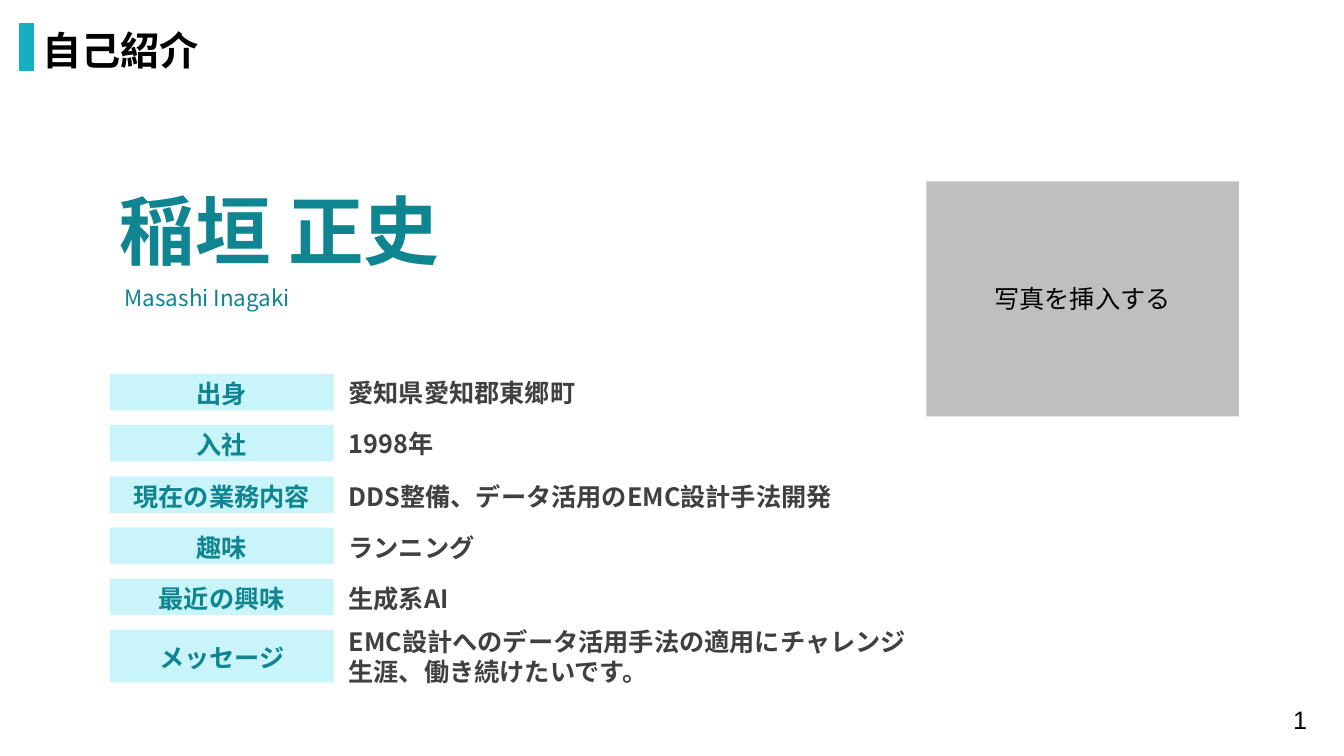
from dataclasses import dataclass

from lxml import etree
from pptx import Presentation
from pptx import util as u
from pptx.dml.color import RGBColor
from pptx.enum import shapes, text
from pptx.oxml.ns import qn

COLOURS = {
    "teal": "0E8590",
    "accent": "13B1C0",
    "pale": "C9F5FA",
    "grey": "BFBFBF",
    "dark": "404040",
    "black": "000000",
}
CJK_FONT = "Noto Sans CJK JP"
LABEL_LEFT, LABEL_WIDTH = 78.5, 159.8
VALUE_LEFT, VALUE_WIDTH = 241.9, 434.9
FIRST_ROW_TOP, ROW_PITCH = 267.1, 36.6


@dataclass(frozen=True)
class Area:
    left: float
    top: float
    width: float
    height: float

    def lengths(self) -> tuple:
        return u.Pt(self.left), u.Pt(self.top), u.Pt(self.width), u.Pt(self.height)


@dataclass(frozen=True)
class Style:
    size: float
    colour: str
    bold: bool = False
    font: str = CJK_FONT
    centred: bool = False
    spaced: bool = False


@dataclass(frozen=True)
class ProfileRow:
    label: str
    value: str
    spaced: bool = False
    label_height: float = 26
    value_height: float = 26


PROFILE = [
    ProfileRow("出身", "愛知県愛知郡東郷町"),
    ProfileRow("入社", "1998年"),
    ProfileRow("現在の業務内容", "DDS整備、データ活用のEMC設計手法開発", spaced=True),
    ProfileRow("趣味", "ランニング", spaced=True),
    ProfileRow("最近の興味", "生成系AI", spaced=True),
    ProfileRow(
        "メッセージ",
        "EMC設計へのデータ活用手法の適用にチャレンジ\n生涯、働き続けたいです。",
        label_height=37.4,
        value_height=49.7,
    ),
]


def rgb(colour: str) -> RGBColor:
    return RGBColor.from_string(COLOURS[colour])


def write(box, content: str, style: Style) -> None:
    frame = box.text_frame
    frame.text = content
    frame.vertical_anchor = text.MSO_ANCHOR.MIDDLE
    for para in frame.paragraphs:
        para.alignment = text.PP_ALIGN.CENTER if style.centred else text.PP_ALIGN.LEFT
        if style.spaced:
            para.line_spacing = 1.1
            para.space_before = u.Pt(3)
        for span in para.runs:
            span.font.size = u.Pt(style.size)
            span.font.bold = style.bold
            span.font.color.rgb = rgb(style.colour)
            span.font.name = style.font
            east_asian = etree.SubElement(span.font._element, qn("a:ea"))
            east_asian.set("typeface", CJK_FONT)


def add_text(page, area: Area, content: str, style: Style, grow: bool = False):
    box = page.shapes.add_textbox(*area.lengths())
    box.text_frame.word_wrap = False
    sizing = text.MSO_AUTO_SIZE
    box.text_frame.auto_size = sizing.SHAPE_TO_FIT_TEXT if grow else sizing.NONE
    write(box, content, style)
    return box


def add_block(page, area: Area, colour: str):
    block = page.shapes.add_shape(shapes.MSO_SHAPE.RECTANGLE, *area.lengths())
    block.shadow.inherit = False
    block.fill.solid()
    block.fill.fore_color.rgb = rgb(colour)
    block.line.fill.background()
    return block


def set_header_insets(box) -> None:
    frame = box.text_frame
    frame.word_wrap = True
    frame.margin_left = frame.margin_right = u.Pt(7.2)
    frame.margin_top, frame.margin_bottom = u.Pt(3.6), u.Pt(0)


def add_title(page) -> None:
    title = page.shapes.title
    title.left, title.top, title.width, title.height = Area(23, 8.6, 862.6, 51.1).lengths()
    title.text_frame.auto_size = text.MSO_AUTO_SIZE.NONE
    set_header_insets(title)
    write(title, "自己紹介", Style(28, "black", bold=True, font="Arial"))
    marker = add_block(page, Area(14.4, 17.3, 9.4, 33.1), "accent")
    marker.line.color.rgb = rgb("accent")
    marker.line.width = u.Pt(1)


def add_profile(page) -> None:
    """Draw each label with its value centred on the same height."""
    for index, row in enumerate(PROFILE):
        top = FIRST_ROW_TOP + index * ROW_PITCH
        label = add_block(page, Area(LABEL_LEFT, top, LABEL_WIDTH, row.label_height), "pale")
        write(label, row.label, Style(18, "teal", bold=True, centred=True, spaced=True))
        value_top = top + (row.label_height - row.value_height) / 2
        value_area = Area(VALUE_LEFT, value_top, VALUE_WIDTH, row.value_height)
        add_text(page, value_area, row.value, Style(18, "dark", bold=True, spaced=row.spaced))


def main() -> None:
    deck = Presentation()
    deck.slide_width, deck.slide_height = u.Pt(960), u.Pt(540)
    page = deck.slides.add_slide(deck.slide_layouts.get_by_name("Title Only"))

    add_title(page)
    name_area = Area(LABEL_LEFT, 127.4, 250.6, 72.7)
    add_text(page, name_area, "稲垣 正史", Style(54, "teal", bold=True), grow=True)
    reading_area = Area(82.1, 199.4, 140.4, 26.6)
    add_text(page, reading_area, "Masashi Inagaki", Style(16, "teal"), grow=True)
    add_profile(page)

    photo = add_block(page, Area(661.7, 129.6, 223.2, 167.8), "grey")
    write(photo, "写真を挿入する", Style(18, "black", font="Arial", centred=True))

    number_style = Style(18, "black", font="Arial")
    number = add_text(page, Area(916.6, 499.7, 43.4, 31.7), "1", number_style)
    set_header_insets(number)
    number.text_frame.vertical_anchor = text.MSO_ANCHOR.TOP

    deck.save("out.pptx")


if __name__ == "__main__":
    main()
